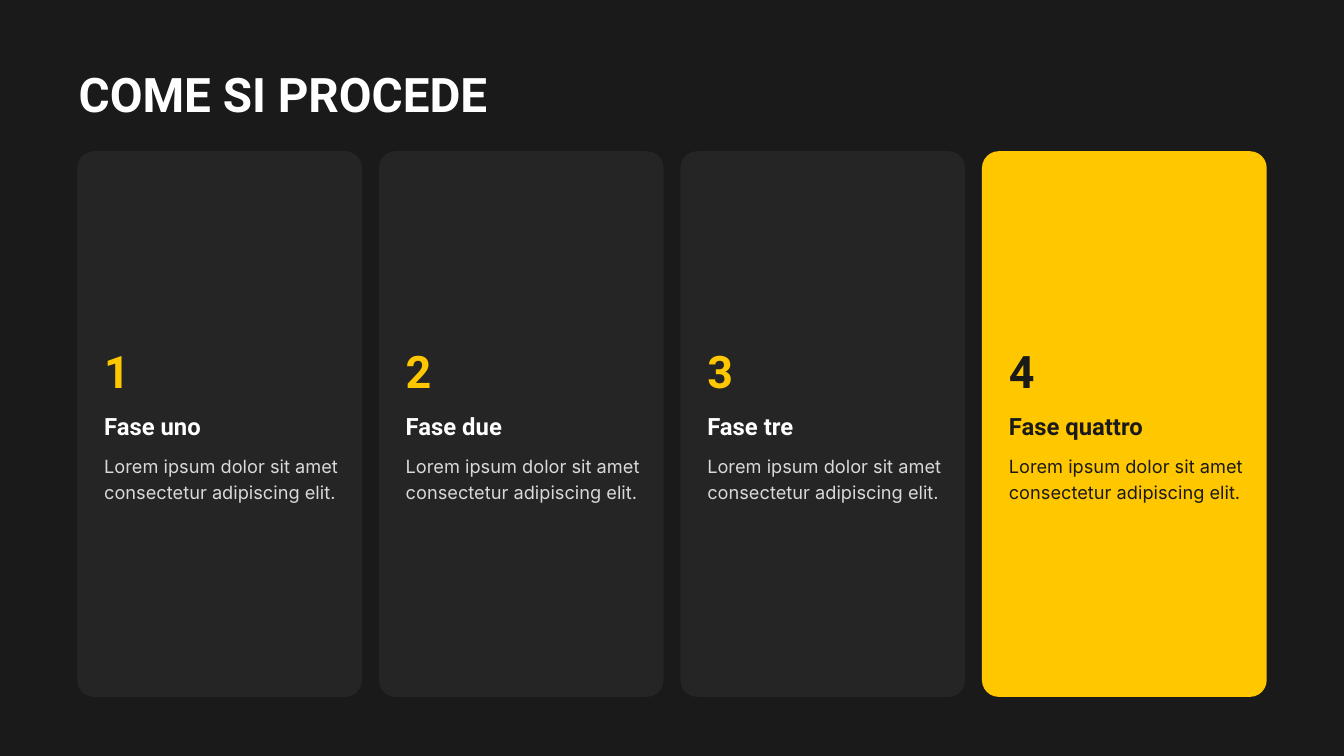
from pptx import Presentation
from pptx import util as u
from pptx.dml.color import RGBColor
from pptx.enum import shapes, text

DARK, CARD, GOLD = "1A1A1A", "252525", "FFC700"
WHITE, GREY = "FFFFFF", "D9D9D9"
BODY = "Lorem ipsum dolor sit amet consectetur adipiscing elit."
STEPS = ["Fase uno", "Fase due", "Fase tre", "Fase quattro"]


def paint(fill, color):
    fill.solid()
    fill.fore_color.rgb = RGBColor.from_string(color)


def write(shape, words, size, lead, color, font="Roboto", bold=True):
    frame = shape.text_frame
    frame.word_wrap = True
    frame.auto_size = text.MSO_AUTO_SIZE.NONE
    frame.vertical_anchor = text.MSO_ANCHOR.TOP
    frame.margin_left = frame.margin_right = 0
    frame.margin_top = frame.margin_bottom = 0
    para = frame.paragraphs[0]
    para.text = words
    para.alignment = text.PP_ALIGN.LEFT
    para.line_spacing = u.Pt(lead)
    face = para.runs[0].font
    face.name, face.size, face.bold = font, u.Pt(size), bold
    face.color.rgb = RGBColor.from_string(color)


def add_title(slide, x, y, w, h):
    title = slide.shapes.title
    title.left, title.top = u.Inches(x), u.Inches(y)
    title.width, title.height = u.Inches(w), u.Inches(h)
    write(title, "COME SI PROCEDE", 51, 50.8, WHITE)


def add_card(slide, x, y, w, h, num, name, last):
    group = slide.shapes.add_group_shape()
    card = group.shapes.add_shape(
        shapes.MSO_SHAPE.ROUNDED_RECTANGLE,
        u.Inches(x), u.Inches(y), u.Inches(w), u.Inches(h))
    card.adjustments[0] = 0.25 / w
    card.shadow.inherit = False
    card.line.fill.background()
    paint(card.fill, GOLD if last else CARD)

    rows = [
        (2.86, 3.78, 0.81, str(num), GOLD, dict(size=48, lead=57.6)),
        (3.9, 3.78, 0.39, name, WHITE, dict(size=25.5, lead=29.2)),
        (4.45, 3.54, 0.83, BODY, GREY,
         dict(size=19.5, lead=28.4, font="Inter", bold=False)),
    ]
    for drop, wide, high, words, color, form in rows:
        box = group.shapes.add_textbox(
            u.Inches(x + 0.4), u.Inches(y + drop),
            u.Inches(wide), u.Inches(high))
        write(box, words, color=DARK if last else color, **form)


def add_cards(slide, x, y, w, h, gap=0.25):
    count = len(STEPS)
    wide = (w - gap * (count - 1)) / count
    for i, name in enumerate(STEPS):
        add_card(slide, x + i * (wide + gap), y, wide, h,
                 i + 1, name, i == count - 1)


def main():
    deck = Presentation()
    deck.slide_width, deck.slide_height = u.Inches(20), u.Inches(11.25)
    slide = deck.slides.add_slide(deck.slide_layouts[5])
    paint(slide.background.fill, DARK)
    add_title(slide, 1.17, 1.11, 17.68, 0.61)
    add_cards(slide, 1.15, 2.25, 17.7, 8.12)
    deck.save("out.pptx")


if __name__ == "__main__":
    main()
